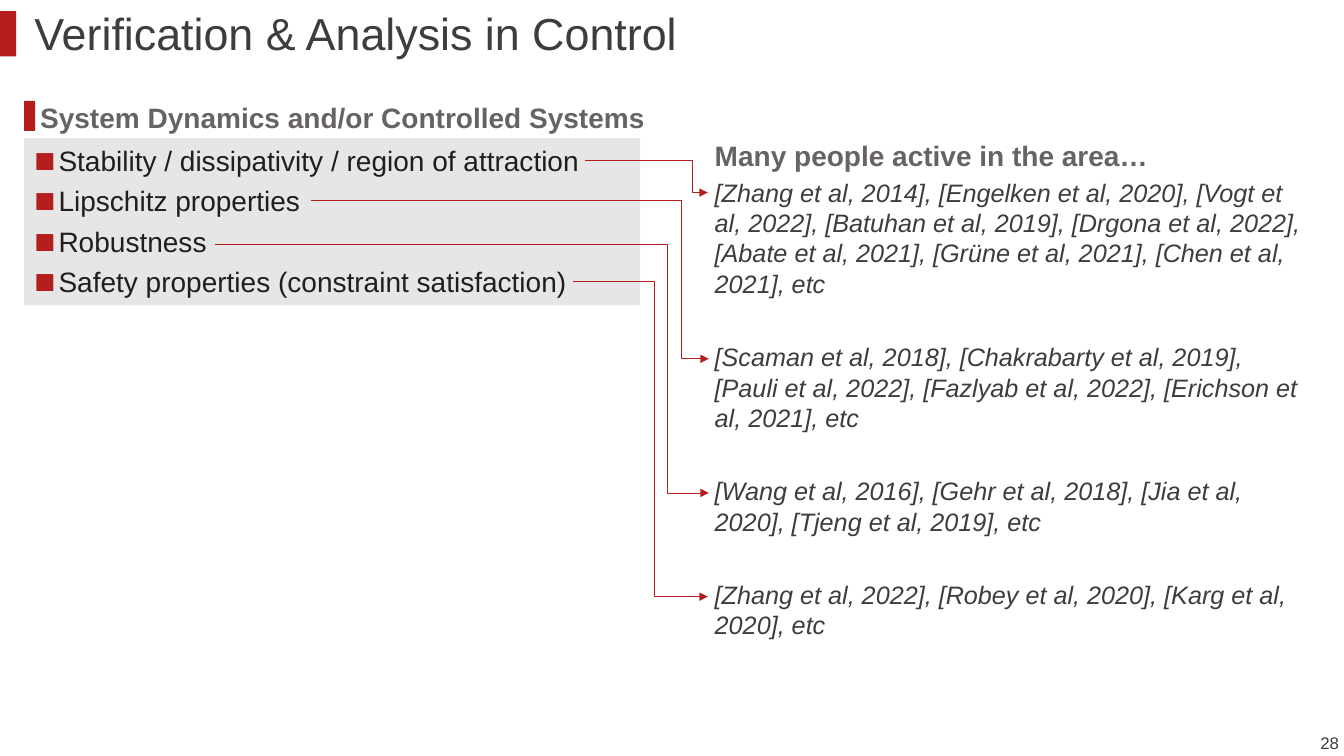
from lxml import etree
from pptx import Presentation
from pptx.dml.color import RGBColor
from pptx.enum.shapes import MSO_CONNECTOR, MSO_SHAPE
from pptx.enum.text import MSO_ANCHOR, MSO_AUTO_SIZE, PP_ALIGN
from pptx.oxml.ns import qn
from pptx.util import Inches, Pt

RED, DARK, GREY, INK, PALE = "B41F1E", "403C39", "686363", "201E1C", "E7E6E6"
REFERENCE_LEFT = 6.99

PROPERTIES = [
    "Stability / dissipativity / region of attraction",
    "Lipschitz properties",
    "Robustness",
    "Safety properties (constraint satisfaction)",
]
REFERENCES = [
    (1.71, 1.31, "[Zhang et al, 2014], [Engelken et al, 2020], [Vogt et al, 2022], "
     "[Batuhan et al, 2019], [Drgona et al, 2022], [Abate et al, 2021], "
     "[Grüne et al, 2021], [Chen et al, 2021], etc"),
    (3.34, 1.01, "[Scaman et al, 2018], [Chakrabarty et al, 2019], [Pauli et al, 2022], "
     "[Fazlyab et al, 2022], [Erichson et al, 2021], etc"),
    (4.67, 0.71, "[Wang et al, 2016], [Gehr et al, 2018], [Jia et al, 2020], "
     "[Tjeng et al, 2019], etc"),
    (5.7, 0.71, "[Zhang et al, 2022], [Robey et al, 2020], [Karg et al, 2020], etc"),
]
ARROWS = [
    (5.8, 1.59, 6.87, 7.02, 1.91),
    (3.08, 1.99, 6.76, 7.03, 3.56),
    (2.13, 2.42, 6.62, 7.03, 4.89),
    (5.68, 2.79, 6.49, 7.02, 5.92),
]


def color(value):
    """Turn a hex string into a colour."""
    return RGBColor.from_string(value)


def add_element(parent, tag, **attributes):
    """Append a drawing element with the given attributes."""
    return etree.SubElement(parent, qn(tag), attributes)


def place(shape, left, top, width, height):
    """Move and size a shape, in inches."""
    shape.left, shape.top = Inches(left), Inches(top)
    shape.width, shape.height = Inches(width), Inches(height)


def style(paragraph, size, value, bold=False, italic=False):
    """Set the font of a whole paragraph."""
    font = paragraph.font
    font.name, font.size = "Arial", Pt(size)
    font.bold, font.italic = bold, italic
    font.color.rgb = color(value)


def add_marker(slide, left, top, width, height):
    """Add a plain red bar."""
    marker = slide.shapes.add_shape(
        MSO_SHAPE.RECTANGLE, Inches(left), Inches(top), Inches(width), Inches(height))
    marker.shadow.inherit = False
    marker.fill.solid()
    marker.fill.fore_color.rgb = color(RED)
    marker.line.fill.background()


def add_text(slide, box, text, size, value, bold=False, italic=False):
    """Add a wrapped text box with one paragraph and return its frame."""
    frame = slide.shapes.add_textbox(*map(Inches, box)).text_frame
    frame.word_wrap = True
    frame.text = text
    style(frame.paragraphs[0], size, value, bold, italic)
    return frame


def fill_title(title, text):
    """Move and format the title placeholder."""
    place(title, 0.24, 0.11, 11.5, 0.5)
    frame = title.text_frame
    frame.text = text
    frame.auto_size = MSO_AUTO_SIZE.NONE
    frame.vertical_anchor = MSO_ANCHOR.MIDDLE
    paragraph = frame.paragraphs[0]
    paragraph.alignment = PP_ALIGN.LEFT
    paragraph.line_spacing = 0.9
    style(paragraph, 32, DARK)


def add_bullet(paragraph):
    """Give a paragraph a red square bullet with a hanging indent."""
    properties = paragraph._p.get_or_add_pPr()
    indent = Inches(0.24)
    properties.set("marL", str(indent))
    properties.set("indent", str(-indent))
    add_element(add_element(properties, "a:buClr"), "a:srgbClr", val=RED)
    add_element(properties, "a:buSzPct", val="125000")
    add_element(properties, "a:buFont", typeface="Arial")
    add_element(properties, "a:buChar", char="■")


def fill_list(body, items):
    """Turn the body placeholder into the shaded bullet list."""
    place(body, 0.24, 1.37, 6.11, 1.66)
    body.fill.solid()
    body.fill.fore_color.rgb = color(PALE)
    frame = body.text_frame
    frame.text = "\n".join(items)
    frame.auto_size = MSO_AUTO_SIZE.NONE
    for paragraph in frame.paragraphs:
        add_bullet(paragraph)
        paragraph.space_before, paragraph.space_after = Pt(0), Pt(5)
        style(paragraph, 20, INK)


def add_arrow(slide, left, top, bend, right, bottom):
    """Add an elbow arrow that turns at the given horizontal position."""
    arrow = slide.shapes.add_connector(
        MSO_CONNECTOR.ELBOW, Inches(left), Inches(top), Inches(right), Inches(bottom))
    arrow.line.color.rgb = color(RED)
    arrow.line.width = Pt(0.5)
    add_element(arrow.line._get_or_add_ln(), "a:tailEnd", type="triangle")
    properties = arrow._element.spPr
    add_element(properties, "a:effectLst")
    ratio = round((bend - left) / (right - left) * 100000)
    adjustments = properties.find(qn("a:prstGeom")).get_or_add_avLst()
    add_element(adjustments, "a:gd", name="adj1", fmla=f"val {ratio}")


def main():
    """Build the slide and save it."""
    presentation = Presentation()
    presentation.slide_width, presentation.slide_height = Inches(13.33), Inches(7.5)
    slide = presentation.slides.add_slide(presentation.slide_layouts[1])
    fill_title(slide.shapes.title, "Verification & Analysis in Control")
    fill_list(slide.placeholders[1], PROPERTIES)
    add_marker(slide, 0, 0.11, 0.16, 0.45)
    add_marker(slide, 0.24, 1, 0.11, 0.3)
    add_text(slide, (0.3, 0.95, 6.47, 0.44),
             "System Dynamics and/or Controlled Systems", 20, GREY, bold=True)
    add_text(slide, (REFERENCE_LEFT, 1.33, 5.31, 0.44),
             "Many people active in the area…", 20, GREY, bold=True)
    for top, height, text in REFERENCES:
        add_text(slide, (REFERENCE_LEFT, top, 6.11, height), text, 18, DARK, italic=True)
    for arrow in ARROWS:
        add_arrow(slide, *arrow)
    number = add_text(slide, (10.38, 7.17, 3, 0.4), "28", 12, DARK)
    number.vertical_anchor = MSO_ANCHOR.MIDDLE
    number.paragraphs[0].alignment = PP_ALIGN.RIGHT
    presentation.save("out.pptx")


if __name__ == "__main__":
    main()
